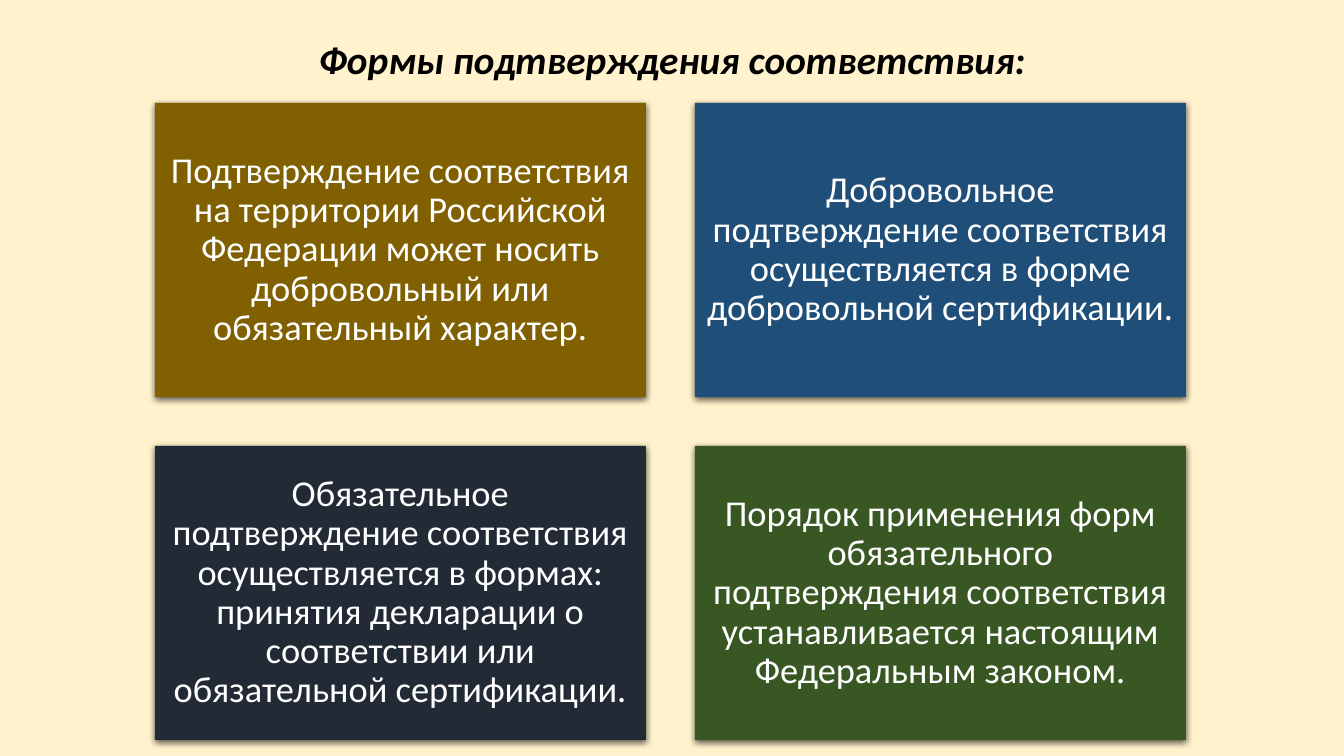
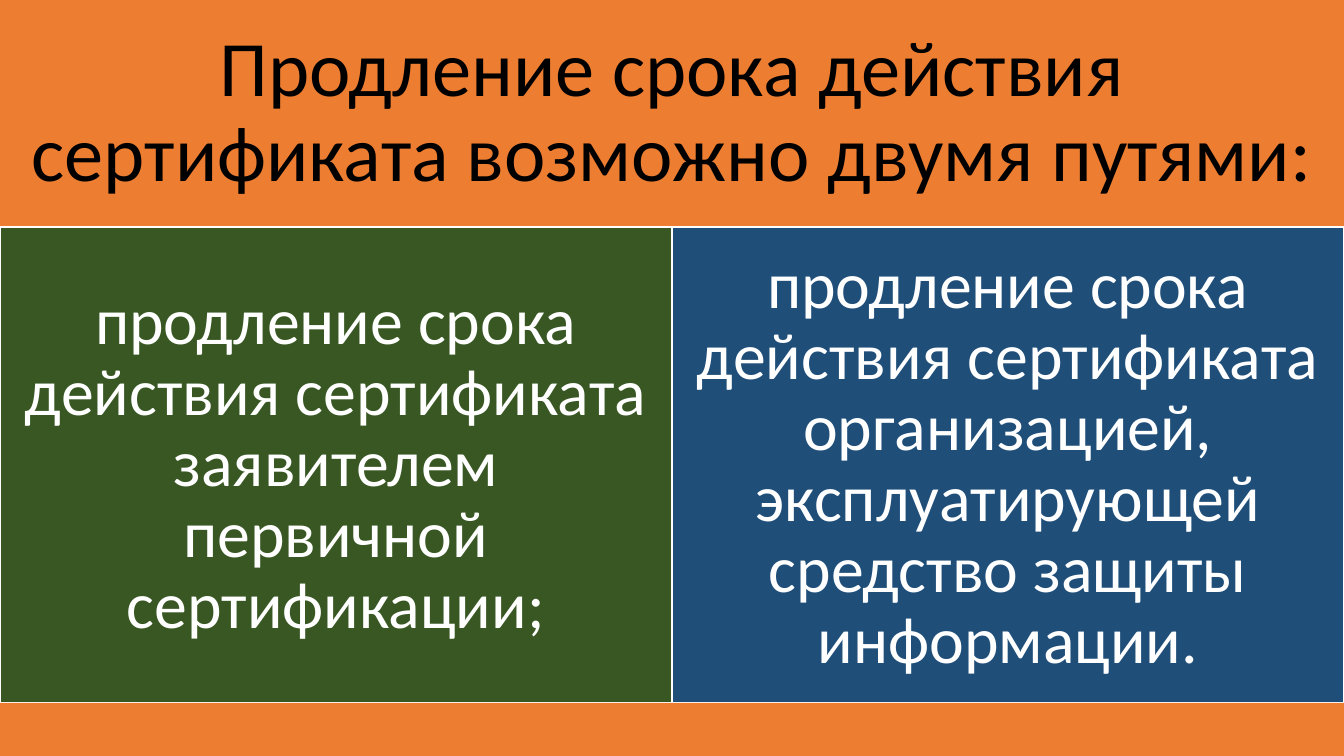
"""Build two slides on conformity assessment and certificate renewal."""
from dataclasses import dataclass

from lxml.etree import SubElement
from pptx import Presentation
from pptx.dml.color import RGBColor
from pptx.enum.shapes import MSO_SHAPE
from pptx.enum.text import MSO_ANCHOR, PP_ALIGN
from pptx.oxml.ns import qn
from pptx.slide import Slide
from pptx.util import Emu, Pt

WIDE, HIGH = 1344, 756
SCALE = 12192000 / WIDE
FONT = "Calibri"
CREAM, BLACK, WHITE = "FFF2CC", "000000", "FFFFFF"
GOLD, BLUE, NAVY, GREEN, ORANGE = "806000", "1F4E79", "222A35", "385723", "ED7D31"


@dataclass
class Box:
    left: int
    top: int
    width: int
    height: int
    text: str = ""
    fill: str = ""
    size: int = 26
    ink: str = WHITE
    inset: int = 11
    line: str = ""
    shade: bool = False
    strong: bool = False


def px(count: int) -> Emu:
    return Emu(round(count * SCALE))


def color(code: str) -> RGBColor:
    return RGBColor.from_string(code)


def add_shade(shape) -> None:
    effects = shape._element.spPr.find(qn("a:effectLst"))
    outer = SubElement(effects, qn("a:outerShdw"), blurRad=str(Pt(4.5)),
                       dist=str(Pt(1.5)), dir="5400000", algn="ctr", rotWithShape="0")
    tint = SubElement(outer, qn("a:srgbClr"), val=BLACK)
    SubElement(tint, qn("a:alpha"), val="63000")


def add_text(shape, box: Box) -> None:
    frame = shape.text_frame
    frame.word_wrap = True
    frame.vertical_anchor = MSO_ANCHOR.MIDDLE
    frame.margin_left = frame.margin_right = px(box.inset)
    frame.margin_top = frame.margin_bottom = px(box.inset)
    frame.text = box.text
    for para in frame.paragraphs:
        para.alignment = PP_ALIGN.CENTER
        para.line_spacing = 0.9
        for run in para.runs:
            font = run.font
            font.name, font.size = FONT, Pt(box.size)
            font.color.rgb = color(box.ink)
            font.bold = font.italic = box.strong


def add_box(slide: Slide, box: Box) -> None:
    place = [px(n) for n in (box.left, box.top, box.width, box.height)]
    if box.fill:
        shape = slide.shapes.add_shape(MSO_SHAPE.RECTANGLE, *place)
        shape.shadow.inherit = False
        shape.fill.solid()
        shape.fill.fore_color.rgb = color(box.fill)
        if box.line:
            shape.line.color.rgb = color(box.line)
            shape.line.width = Pt(1)
        else:
            shape.line.fill.background()
        if box.shade:
            add_shade(shape)
    else:
        shape = slide.shapes.add_textbox(*place)
    if box.text:
        add_text(shape, box)


def add_slide(deck, boxes: list[Box]) -> None:
    slide = deck.slides.add_slide(deck.slide_layouts[6])
    slide.background.fill.solid()
    slide.background.fill.fore_color.rgb = color(CREAM)
    for box in boxes:
        add_box(slide, box)


def form_boxes() -> list[Box]:
    cards = [
        (GOLD, "Подтверждение соответствия на территории Российской Федерации "
               "может носить добровольный или обязательный характер."),
        (BLUE, "Добровольное подтверждение соответствия осуществляется "
               "в форме добровольной сертификации."),
        (NAVY, "Обязательное подтверждение соответствия осуществляется в формах: "
               "принятия декларации о соответствии или обязательной сертификации."),
        (GREEN, "Порядок применения форм обязательного подтверждения соответствия "
                "устанавливается настоящим Федеральным законом."),
    ]
    width, height, gap = 491, 294, 49
    boxes = [Box(92, 32, 1160, 60, "Формы подтверждения соответствия:",
                 size=28, ink=BLACK, strong=True)]
    for spot, (fill, text) in enumerate(cards):
        row, col = divmod(spot, 2)
        boxes.append(Box(155 + col * (width + gap), 103 + row * (height + gap),
                         width, height, text, fill, shade=True))
    return boxes


def renew_boxes() -> list[Box]:
    ways = [
        (GREEN, "продление срока действия сертификата заявителем "
                "первичной сертификации;"),
        (BLUE, "продление срока действия сертификата организацией, "
               "эксплуатирующей средство защиты информации."),
    ]
    top, base, half = 227, 703, WIDE // 2
    boxes = [Box(0, 0, WIDE, top,
                 "Продление срока действия сертификата возможно двумя путями:",
                 ORANGE, size=56, ink=BLACK, inset=23)]
    for col, (fill, text) in enumerate(ways):
        boxes.append(Box(col * half, top, half, base - top, text, fill,
                         size=47, inset=20, line=WHITE))
    return boxes + [Box(0, base, WIDE, HIGH - base, fill=ORANGE)]


def main() -> None:
    deck = Presentation()
    deck.slide_width, deck.slide_height = px(WIDE), px(HIGH)
    for boxes in (form_boxes(), renew_boxes()):
        add_slide(deck, boxes)
    deck.save("out.pptx")


if __name__ == "__main__":
    main()
